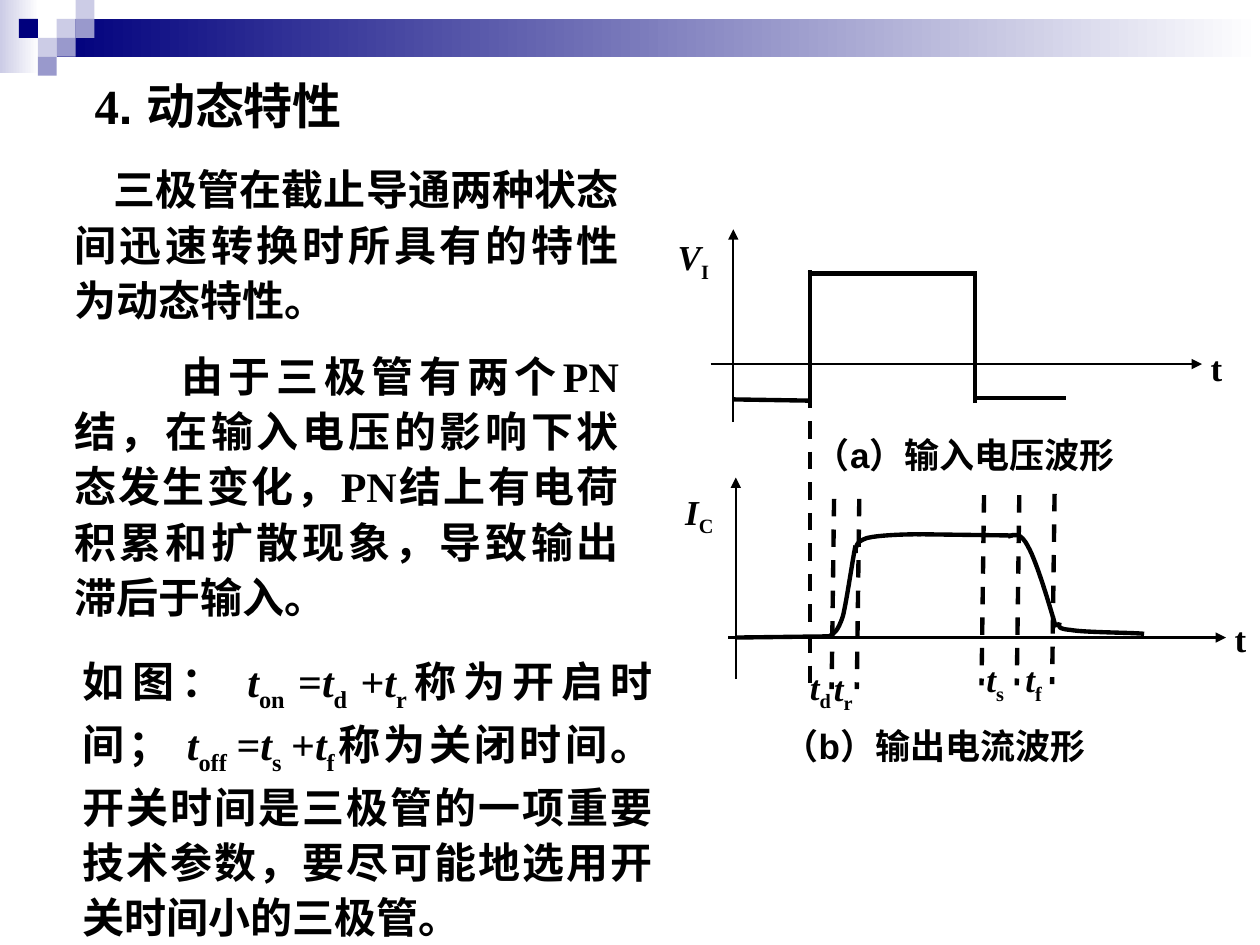
from lxml import etree
from pptx import Presentation
from pptx.dml.color import RGBColor
from pptx.enum.dml import MSO_LINE
from pptx.enum.shapes import MSO_CONNECTOR, MSO_SHAPE
from pptx.enum.text import MSO_ANCHOR, MSO_AUTO_SIZE, PP_ALIGN
from pptx.oxml.ns import qn
from pptx.util import Inches, Pt

RECT = MSO_SHAPE.RECTANGLE
STRAIGHT = MSO_CONNECTOR.STRAIGHT
DASH = MSO_LINE.DASH
JUSTIFY, LEFT = PP_ALIGN.JUSTIFY, PP_ALIGN.LEFT
SERIF, SANS, CJK = "Times New Roman", "Arial", "Noto Sans CJK SC"
BLACK, WHITE, NAVY, VIOLET, LILAC = "000000", "FFFFFF", "00007D", "9999CC", "CCCCE6"
TILE = 0.15
AXIS, TRACE = 1.25, 2.5


def color(hex_code):
    return RGBColor.from_string(hex_code)


def add_block(slide, left, top, width, height, start, end=None):
    """Borderless rectangle, solid or fading from left to right."""
    block = slide.shapes.add_shape(RECT, *map(Inches, (left, top, width, height)))
    block.shadow.inherit = False
    block.line.fill.background()
    if end is None:
        block.fill.solid()
        block.fill.fore_color.rgb = color(start)
    else:
        block.fill.gradient()
        block.fill.gradient_angle = 0
        for stop, hex_code in zip(block.fill.gradient_stops, (start, end)):
            stop.color.rgb = color(hex_code)


def add_line(slide, start, end, width=TRACE, dashed=False, arrow=False):
    line = slide.shapes.add_connector(STRAIGHT, *map(Inches, (*start, *end)))
    line.line.color.rgb = color(BLACK)
    line.line.width = Pt(width)
    if dashed:
        line.line.dash_style = DASH
    if arrow:
        etree.SubElement(line.line._get_or_add_ln(), qn("a:tailEnd"), type="triangle")
    etree.SubElement(line._element.spPr, qn("a:effectLst"))


def add_curve(slide, *points):
    """Cubic curve: a start point, then two controls and an end per segment."""
    start, *rest = [(Inches(x), Inches(y)) for x, y in points]
    builder = slide.shapes.build_freeform(*start)
    builder.add_line_segments(rest, close=False)
    curve = builder.convert_to_shape()
    curve.shadow.inherit = False
    curve.fill.background()
    curve.line.color.rgb = color(BLACK)
    curve.line.width = Pt(TRACE)
    # Turn every three straight segments into one cubic segment
    outline = next(curve._element.iter(qn("a:path")))
    segments = outline.findall(qn("a:lnTo"))
    for first in range(0, len(segments), 3):
        cubic = etree.SubElement(outline, qn("a:cubicBezTo"))
        for segment in segments[first:first + 3]:
            cubic.append(segment[0])
            outline.remove(segment)


def write_runs(shape, runs, size, align=LEFT, spacing=None, indent=0):
    """Each run is (text, font) or (text, font, style), style 'i' or 'sub'."""
    frame = shape.text_frame
    frame.word_wrap = True
    frame.auto_size = MSO_AUTO_SIZE.SHAPE_TO_FIT_TEXT
    frame.vertical_anchor = MSO_ANCHOR.TOP
    paragraph = frame.paragraphs[0]
    paragraph.alignment = align
    paragraph.space_before = Pt(0)
    if spacing:
        paragraph.line_spacing = spacing
    layout = paragraph._p.get_or_add_pPr()
    layout.set("hangingPunct", "0")
    if indent:
        layout.set("indent", str(Inches(indent)))
    for text, font_name, *style in runs:
        run = paragraph.add_run()
        run.text = text
        font = run.font
        font.size, font.bold, font.italic = Pt(size), True, "i" in style
        font.color.rgb = color(BLACK)
        font.name = font_name
        properties = run._r.get_or_add_rPr()
        etree.SubElement(properties, qn("a:ea"), typeface=CJK)
        if "sub" in style:
            properties.set("baseline", "-25000")


def add_text(slide, left, top, width, height, runs, size=20, **layout):
    box = slide.shapes.add_textbox(*map(Inches, (left, top, width, height)))
    write_runs(box, runs, size, **layout)


def symbol(letter, subscript):
    return [(letter, SERIF, "i"), (subscript, SERIF, "sub")]


def add_banner(slide):
    add_block(slide, 0, 0, 0.31, 0.58, LILAC, WHITE)
    add_block(slide, 3 * TILE, TILE, 10 - 3 * TILE, 2 * TILE, NAVY, WHITE)
    # Checkered tiles as column, row, colour
    tiles = [(3, 1, LILAC), (4, 0, LILAC), (4, 1, VIOLET), (2, 2, LILAC),
             (1, 1, NAVY), (3, 2, VIOLET), (2, 3, VIOLET)]
    for column, row, shade in tiles:
        add_block(slide, column * TILE, row * TILE, TILE, TILE, shade)


def add_explanation(slide):
    body = dict(size=24, align=JUSTIFY, spacing=1.1)
    add_text(slide, 0.49, 1.21, 4.52, 1.42,
             [("三极管在截止导通两种状态间迅速转换时所具有的特性为动态特性。", CJK)],
             indent=0.31, **body)
    add_text(slide, 0.49, 2.69, 4.52, 2.3,
             [("由于三极管有两个PN结，在输入电压的影响下状态发生变化，"
               "PN结上有电荷积累和扩散现象，导致输出滞后于输入。", SERIF)],
             indent=0.85, **body)
    switching_times = [
        ("如图： ", CJK), *symbol("t", "on "), ("=", SERIF),
        *symbol("t", "d "), ("+", SERIF), *symbol("t", "r"),
        ("称为开启时间； ", SERIF), *symbol("t", "off "), ("=", SERIF),
        *symbol("t", "s "), ("+", SERIF), *symbol("t", "f"),
        ("称为关闭时间。开关时间是三极管", SERIF),
        ("的一项重要技术参数，要尽可能地选用开关时间小的三极管。", CJK)]
    add_text(slide, 0.56, 5.11, 4.72, 2.42, switching_times, **body)


def add_waveforms(slide):
    # Axes
    for start, end in [((5.64, 2.89), (9.54, 2.89)), ((5.82, 3.35), (5.82, 1.82)),
                       ((5.78, 5.06), (9.73, 5.06)), ((5.84, 5.39), (5.84, 3.79))]:
        add_line(slide, start, end, AXIS, arrow=True)

    # Input voltage pulse
    for start, end in [((5.81, 3.17), (6.44, 3.18)), ((6.43, 3.18), (6.43, 2.14)),
                       ((6.41, 2.17), (7.75, 2.17)), ((7.74, 3.2), (7.74, 2.16)),
                       ((7.75, 3.16), (8.46, 3.16))]:
        add_line(slide, start, end)

    # Output current: off level, rise, on level, fall, tail
    add_line(slide, (5.84, 5.06), (6.61, 5.05))
    add_curve(slide, (6.58, 5.05), (6.62, 5.03), (6.65, 5.01), (6.69, 4.89),
              (6.72, 4.77), (6.77, 4.42), (6.79, 4.33))
    add_curve(slide, (6.79, 4.39), (6.79, 4.34), (6.79, 4.3), (6.88, 4.27),
              (6.96, 4.25), (7.14, 4.24), (7.31, 4.24))
    add_line(slide, (7.28, 4.24), (8.04, 4.25))
    add_curve(slide, (8, 4.26), (8.05, 4.24), (8.1, 4.22), (8.16, 4.34),
              (8.23, 4.46), (8.35, 4.87), (8.38, 4.98))
    add_curve(slide, (8.41, 4.94), (8.4, 4.97), (8.39, 4.99), (8.5, 5),
              (8.61, 5.02), (8.99, 5.02), (9.08, 5.03))

    # Time markers
    add_line(slide, (6.43, 3.1), (6.43, 5.46), dashed=True)
    for x, top in [(6.62, 3.96), (6.82, 3.96), (7.81, 3.93), (8.09, 3.93), (8.37, 3.92)]:
        add_line(slide, (x, top), (x - 0.02, top + 1.51), dashed=True)


def add_labels(slide):
    add_text(slide, 6.37, 3.39, 3.33, 0.44, [("（a）输入电压波形", SANS)])
    add_text(slide, 6.12, 5.7, 3.89, 0.44, [("（b）输出电流波形", SANS)])
    for left, top in [(9.51, 2.7), (9.7, 4.85)]:
        add_text(slide, left, top, 0.3, 0.44, [("t", SERIF)])
    for letter, subscript, left, top, width in [
            ("V", "I", 5.28, 1.82, 0.77), ("I", "C", 5.34, 3.84, 0.77),
            ("t", "r", 6.52, 5.24, 0.46), ("t", "d", 6.33, 5.23, 0.46),
            ("t", "s", 7.73, 5.17, 0.46), ("t", "f", 8.04, 5.17, 0.46)]:
        add_text(slide, left, top, width, 0.48, symbol(letter, subscript))


def main():
    deck = Presentation()
    deck.slide_width, deck.slide_height = Inches(10), Inches(7.5)
    slide = deck.slides.add_slide(deck.slide_layouts[5])
    add_banner(slide)

    heading = slide.shapes.title
    heading.left, heading.top = Inches(0.65), Inches(0.55)
    heading.width, heading.height = Inches(2.26), Inches(0.57)
    write_runs(heading, [("4", SERIF), (". 动态特性", SANS)], 28, align=JUSTIFY)

    add_explanation(slide)
    add_waveforms(slide)
    add_labels(slide)
    deck.save("out.pptx")


if __name__ == "__main__":
    main()
